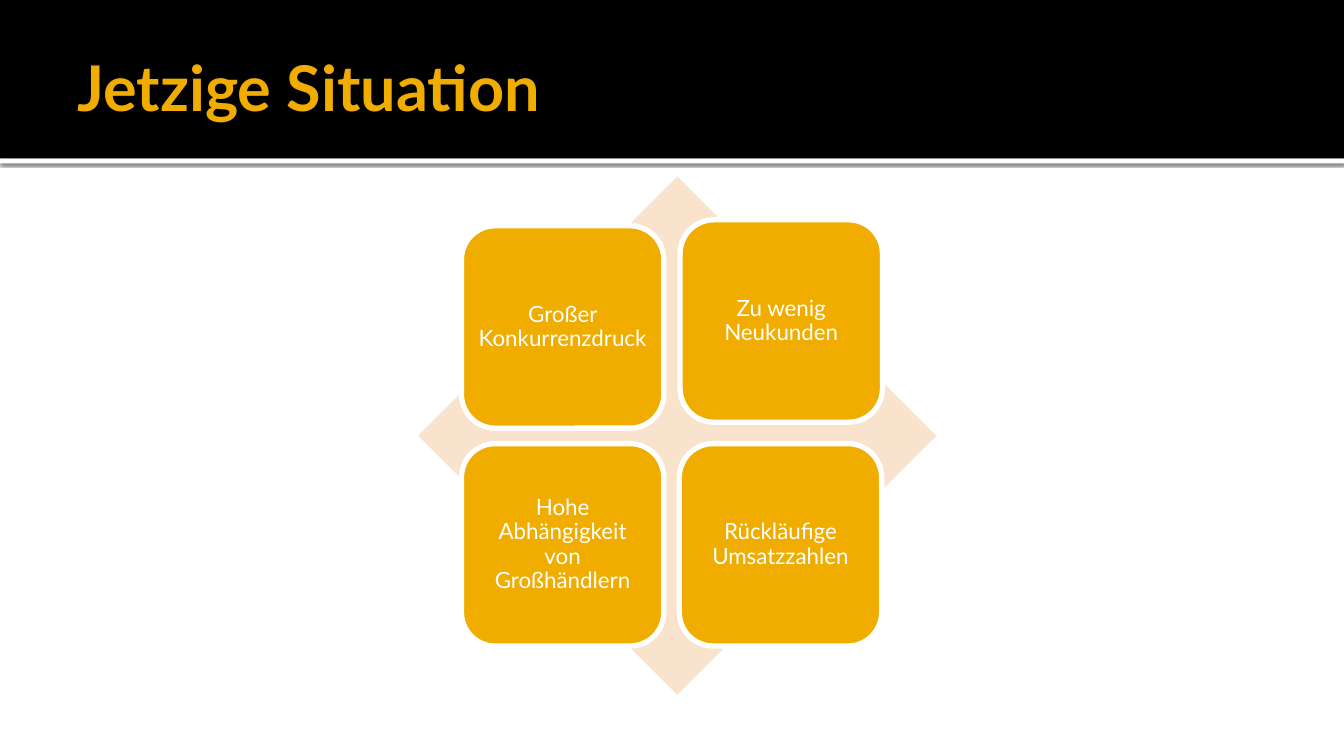
from lxml import etree
from pptx import Presentation
from pptx.dml.color import RGBColor
from pptx.enum import shapes, text
from pptx.oxml import ns
from pptx.util import Cm, Pt

HUES = {"gold": "F0AD00", "peach": "F9E3CC", "white": "FFFFFF", "black": "000000"}
FONT = "Lato"
WIDE, HIGH = 33.87, 19.05
TILE = 5.1
TILES = [
    ("Großer Konkurrenzdruck", 11.63, 5.69),
    ("Zu wenig Neukunden", 17.14, 5.54),
    ("Hohe Abhängigkeit von Großhändlern", 11.63, 11.18),
    ("Rückläufige Umsatzzahlen", 17.12, 11.18),
]


def tint(name):
    return RGBColor.from_string(HUES[name])


def block(slide, kind, box, hue):
    shape = slide.shapes.add_shape(kind, *map(Cm, box))
    shape.shadow.inherit = False
    shape.fill.solid()
    shape.fill.fore_color.rgb = tint(hue)
    shape.line.fill.background()
    return shape


def shade(shape):
    effects = shape._element.spPr.find(ns.qn("a:effectLst"))
    outer = etree.SubElement(effects, ns.qn("a:outerShdw"), blurRad=str(Pt(2.5)),
                             dist=str(Pt(0.8)), dir="5400000", rotWithShape="0")
    color = etree.SubElement(outer, ns.qn("a:srgbClr"), val=HUES["black"])
    etree.SubElement(color, ns.qn("a:alpha"), val="60000")


def write(shape, words, size, hue, pads, align, bold=False):
    frame = shape.text_frame
    frame.word_wrap = True
    frame.vertical_anchor = text.MSO_ANCHOR.MIDDLE
    (frame.margin_left, frame.margin_top,
     frame.margin_right, frame.margin_bottom) = map(Cm, pads)
    para = frame.paragraphs[0]
    para.text = words
    para.alignment = align
    font = para.font
    font.name, font.size, font.bold = FONT, Pt(size), bold
    font.color.rgb = tint(hue)
    return para


def header(slide):
    rect = shapes.MSO_SHAPE.RECTANGLE
    shade(block(slide, rect, (0, 3.99, WIDE, 0.13), "white"))
    block(slide, rect, (0, 0, WIDE, 3.99), "black")
    title = slide.shapes.add_textbox(*map(Cm, (1.7, 0.43, 30.48, 3.48)))
    write(title, "Jetzige Situation", 45, "gold", (0.25, 0.13, 0.13, 0.13),
          text.PP_ALIGN.LEFT, bold=True)


def tile(slide, words, left, top):
    shape = block(slide, shapes.MSO_SHAPE.ROUNDED_RECTANGLE,
                  (left, top, TILE, TILE), "gold")
    shape.line.color.rgb = tint("white")
    shape.line.width = Pt(3.78)
    para = write(shape, words, 16, "white", [0.18] * 4, text.PP_ALIGN.CENTER)
    para.line_spacing = 0.9


def main():
    deck = Presentation()
    deck.slide_width, deck.slide_height = Cm(WIDE), Cm(HIGH)
    slide = deck.slides.add_slide(deck.slide_layouts[6])
    header(slide)
    block(slide, shapes.MSO_SHAPE.DIAMOND, (10.54, 4.45, 13.06, 13.06), "peach")
    for words, left, top in TILES:
        tile(slide, words, left, top)
    deck.save("out.pptx")


main()
